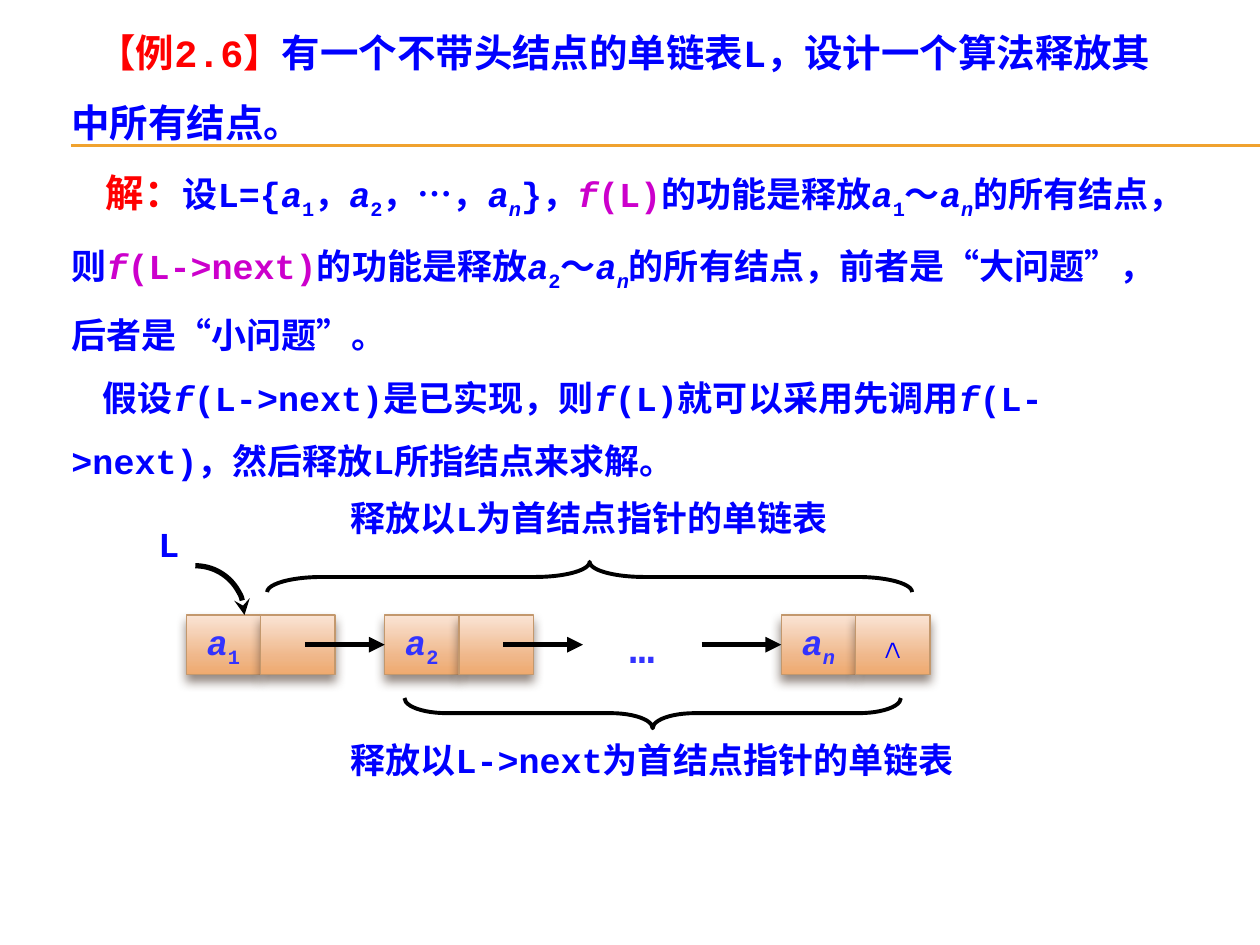
"""Build the slide on recursively freeing a linked list without a head node."""
from pptx import Presentation
from pptx.dml.color import RGBColor
from pptx.enum.shapes import MSO_CONNECTOR, MSO_SHAPE
from pptx.enum.text import MSO_ANCHOR, MSO_AUTO_SIZE, PP_ALIGN
from pptx.oxml import parse_xml
from pptx.oxml.ns import nsdecls
from pptx.util import Pt

BLUE, NODE_BLUE, RED, PURPLE = "0000FF", "3333FF", "FF0000", "CC00CC"
BLACK, GOLD = "000000", "F0A22E"

STYLES = {
    "label": {"size": 22, "color": RED},
    "title": {"size": 22},
    "text": {},
    "var": {"italic": True},
    "sub": {"baseline": -25000},
    "subvar": {"italic": True, "baseline": -25000},
    "call": {"color": PURPLE},
    "callvar": {"color": PURPLE, "italic": True},
    "node": {"color": NODE_BLUE, "italic": True},
    "nodesub": {"color": NODE_BLUE, "baseline": -25000},
    "nodesubvar": {"color": NODE_BLUE, "italic": True, "baseline": -25000},
    "dots": {"size": 24, "color": NODE_BLUE},
}
A1 = [("a", "var"), ("1", "sub")]
A2 = [("a", "var"), ("2", "sub")]
AN = [("a", "var"), ("n", "subvar")]
F = ("f", "var")

PROBLEM = [(14.8, [("【例2.6】", "label"),
                   ("有一个不带头结点的单链表L，设计一个算法释放其中所有结点。", "title")])]
SOLUTION = [
    (19.7, [("解：", "label"), ("设L={", "text"), *A1, ("，", "text"), *A2,
            ("，…，", "text"), *AN, ("}，", "text"),
            ("f", "callvar"), ("(L)", "call"), ("的功能是释放", "text"),
            *A1, ("～", "text"), *AN, ("的所有结点，则", "text"),
            ("f", "callvar"), ("(L->next)", "call"), ("的功能是释放", "text"),
            *A2, ("～", "text"), *AN,
            ("的所有结点，前者是“大问题”，后者是“小问题”。", "text")]),
    (17.9, [("假设", "text"), F, ("(L->next)是已实现，则", "text"), F,
            ("(L)就可以采用先调用", "text"), F,
            ("(L->next)，然后释放L所指结点来求解。", "text")]),
]
PASSAGES = [(PROBLEM, (33.8, 0, 646.6, 87)), (SOLUTION, (33.8, 78.5, 652.3, 193))]
CAPTIONS = [
    ("…", "dots", PP_ALIGN.CENTER, (344.2, 351.4, 45.4, 36)),
    ("L", "text", PP_ALIGN.LEFT, (83.5, 295.2, 33.8, 31.7)),
    ("释放以L为首结点指针的单链表", "text", PP_ALIGN.CENTER, (183.6, 280.1, 306, 31.7)),
    ("释放以L->next为首结点指针的单链表", "text", PP_ALIGN.CENTER, (177.1, 418.3, 391, 31.7)),
]
NODES = {
    0: ([("a", "node"), ("1", "nodesub")], []),
    1: ([("a", "node"), ("2", "nodesub")], []),
    3: ([("a", "node"), ("n", "nodesubvar")], [("∧", "text")]),
}
BRACES = [(90, 1.39, (364.3, 265.7, 17.3, 283.7)), (270, 1.81, (328.3, 145.4, 17.3, 368.6))]
RULES_Y = (82.8, 83.5)

NODE_LEFT, NODE_TOP, NODE_PITCH = 106.5, 351.4, 113.3
CELL_WIDTH, CELL_HEIGHT, ARROW_START = 42.5, 34, 67.8
ARC_BOX = (83.5, 323.3, 56.2, 56.2)

CELL_FILL = (f'<a:gradFill {nsdecls("a")} rotWithShape="1"><a:gsLst>'
             + "".join(f'<a:gs pos="{pos}000"><a:srgbClr val="{color}"/></a:gs>'
                       for pos, color in ((0, "FAE4D5"), (72, "EFB688"), (100, "EFAA6F")))
             + '</a:gsLst><a:lin ang="5400000" scaled="0"/></a:gradFill>')
CELL_SHADOW = (f'<a:effectLst {nsdecls("a")}><a:outerShdw blurRad="{Pt(6)}" dist="{Pt(4)}" '
               'dir="5400000" rotWithShape="0"><a:srgbClr val="4E3B30">'
               '<a:alpha val="60000"/></a:srgbClr></a:outerShdw></a:effectLst>')


def rgb(color):
    return RGBColor.from_string(color)


def points(values):
    return [Pt(value) for value in values]


def add_runs(paragraph, runs):
    for text, style in runs:
        run = paragraph.add_run()
        run.text = text
        look = {"size": 20, "color": BLUE, "italic": False, "baseline": 0} | STYLES[style]
        formats = {"name": "Courier New", "bold": True,
                   "size": Pt(look["size"]), "italic": look["italic"]}
        for key, value in formats.items():
            setattr(run.font, key, value)
        run.font.color.rgb = rgb(look["color"])
        if look["baseline"]:
            run._r.get_or_add_rPr().set("baseline", str(look["baseline"]))


def add_text(slide, box, paragraphs, align=PP_ALIGN.LEFT, spacing=None):
    frame = slide.shapes.add_textbox(*points(box)).text_frame
    frame.word_wrap = True
    frame.auto_size = MSO_AUTO_SIZE.SHAPE_TO_FIT_TEXT
    for number, (indent, runs) in enumerate(paragraphs):
        paragraph = frame.add_paragraph() if number else frame.paragraphs[0]
        paragraph.alignment = align
        paragraph.line_spacing = spacing
        if indent:
            paragraph._p.get_or_add_pPr().set("indent", str(Pt(indent)))
        add_runs(paragraph, runs)


def style_line(line, color, width, arrowhead=None):
    line.color.rgb = rgb(color)
    line.width = Pt(width)
    if arrowhead:
        line._get_or_add_ln().append(
            parse_xml(f'<a:tailEnd {nsdecls("a")} type="{arrowhead}"/>'))


def add_line(slide, ends, *look):
    line = slide.shapes.add_connector(MSO_CONNECTOR.STRAIGHT, *points(ends))
    style_line(line.line, *look)
    line._element.spPr.append(parse_xml(f'<a:effectLst {nsdecls("a")}/>'))
    return line


def add_cell(slide, left, runs):
    cell = slide.shapes.add_shape(
        MSO_SHAPE.RECTANGLE, *points((left, NODE_TOP, CELL_WIDTH, CELL_HEIGHT)))
    style_line(cell.line, "C3986D", 0.79)
    properties = cell._element.spPr
    properties.insert(2, parse_xml(CELL_FILL))
    properties.append(parse_xml(CELL_SHADOW))
    frame = cell.text_frame
    frame.word_wrap = False
    frame.vertical_anchor = MSO_ANCHOR.MIDDLE
    frame.paragraphs[0].alignment = PP_ALIGN.CENTER
    add_runs(frame.paragraphs[0], runs)
    return cell


def add_outline(slide, preset, box, *look):
    outline = slide.shapes.add_shape(preset, *points(box))
    outline.shadow.inherit = False
    outline.fill.background()
    style_line(outline.line, *look)
    return outline


def add_list(slide):
    lefts = [NODE_LEFT + slot * NODE_PITCH for slot in range(4)]
    data_cells = {}
    for slot, (data, pointer) in NODES.items():
        data_cells[slot] = add_cell(slide, lefts[slot], data)
        add_cell(slide, lefts[slot] + CELL_WIDTH, pointer)
    middle = NODE_TOP + CELL_HEIGHT / 2
    for slot, target in enumerate(lefts[1:]):
        arrow = add_line(slide, (lefts[slot] + ARROW_START, middle, target, middle),
                         BLACK, 3, "triangle")
        if slot + 1 in data_cells:
            arrow.end_connect(data_cells[slot + 1], 1)


def main():
    deck = Presentation()
    deck.slide_width, deck.slide_height = points((720, 540))
    slide = deck.slides.add_slide(deck.slide_layouts[6])
    for y in RULES_Y:
        add_line(slide, (40.5, y, 720, y), GOLD, 0.75)
    for paragraphs, box in PASSAGES:
        add_text(slide, box, paragraphs, spacing=1.5)
    add_list(slide)
    add_outline(slide, MSO_SHAPE.ARC, ARC_BOX, BLACK, 3, "stealth")
    for text, style, align, box in CAPTIONS:
        add_text(slide, box, [(0, [(text, style)])], align)
    for rotation, curl, box in BRACES:
        brace = add_outline(slide, MSO_SHAPE.RIGHT_BRACE, box, BLACK, 2.25)
        brace.rotation = rotation
        brace.adjustments[0] = curl
    deck.save("out.pptx")


if __name__ == "__main__":
    main()
